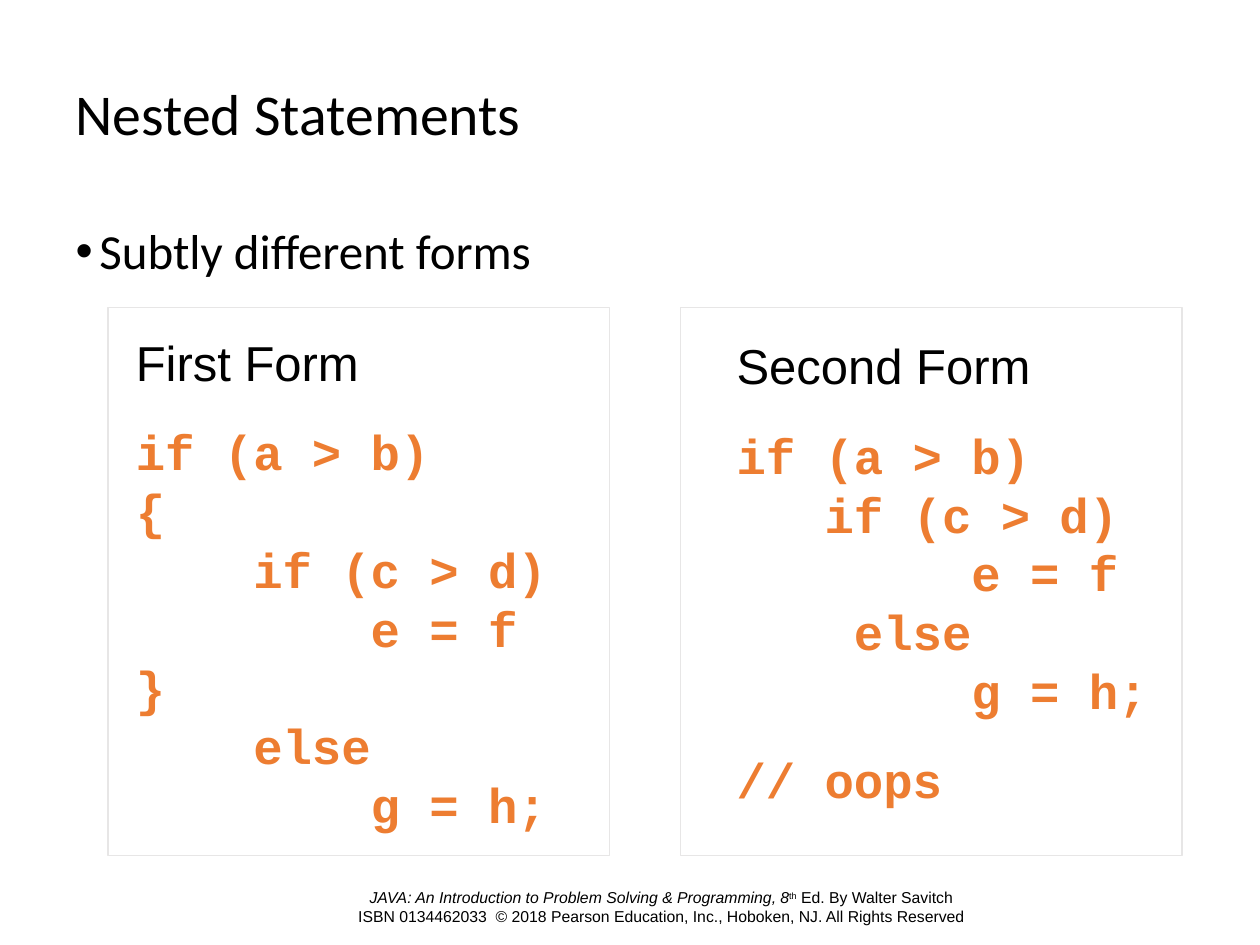
"""Build a slide that compares two forms of nested if statements."""
from pptx import Presentation
from pptx.dml.color import RGBColor
from pptx.enum.shapes import MSO_SHAPE
from pptx.enum.text import MSO_ANCHOR, MSO_AUTO_SIZE, PP_ALIGN
from pptx.util import Cm, Pt

COLORS = {"text": "000000", "code": "ED7D31", "frame": "E7E6E6"}


def add_span(para, text, font, size, color="text", bold=False, italic=False):
    span = para.add_run()
    span.text = text
    span.font.name = font
    span.font.size = Pt(size)
    span.font.bold = bold
    span.font.italic = italic
    span.font.color.rgb = RGBColor.from_string(COLORS[color])
    return span


def add_text_box(page, left, top, width, height):
    box = page.shapes.add_textbox(Cm(left), Cm(top), Cm(width), Cm(height))
    box.text_frame.word_wrap = True
    return box.text_frame


deck = Presentation()
deck.slide_width, deck.slide_height = Cm(25.4), Cm(19.05)
page = deck.slides.add_slide(deck.slide_layouts[1])
title, body = page.placeholders

headings = [
    (title, "Nested Statements", 33, MSO_ANCHOR.MIDDLE, (1.27, 1.3, 22.86, 2.11)),
    (body, "Subtly different forms", 28, MSO_ANCHOR.TOP, (1.27, 4.45, 20.27, 2.87)),
]
for holder, text, size, anchor, place in headings:
    holder.left, holder.top, holder.width, holder.height = map(Cm, place)
    frame = holder.text_frame
    frame.auto_size = MSO_AUTO_SIZE.NONE
    frame.vertical_anchor = anchor
    para = frame.paragraphs[0]
    para.alignment = PP_ALIGN.LEFT
    para.line_spacing = 0.9
    para.space_before = Pt(0)
    add_span(para, text, "Calibri", size)

bullet = body.text_frame.paragraphs[0]._p.get_or_add_pPr()
bullet.set("marL", str(Cm(0.48)))
bullet.set("indent", str(Cm(-0.48)))

footer = add_text_box(page, 1.9, 17.78, 22.86, 1.6)
para = footer.paragraphs[0]
para.alignment = PP_ALIGN.CENTER
para.line_spacing = Pt(10.8)
add_span(para, "JAVA: An Introduction to Problem Solving & Programming, 8", "Arial", 9, italic=True)
ordinal = add_span(para, "th", "Arial", 9)
ordinal._r.get_or_add_rPr().set("baseline", "30000")
add_span(para, " Ed. By Walter Savitch", "Arial", 9)
para.add_line_break()
add_span(
    para,
    "ISBN 0134462033  © 2018 Pearson Education, Inc., Hoboken, NJ. All Rights Reserved",
    "Arial",
    9,
)

first_code = """if (a > b)
{
    if (c > d)
        e = f
}
    else
        g = h;"""
second_code = """if (a > b)
   if (c > d)
        e = f
    else
        g = h;"""
forms = [
    (2.49, 6.58, 10.36, ["First Form", first_code]),
    (14.6, 6.65, 9.8, ["Second Form", second_code, "// oops"]),
]
for left, top, height, blocks in forms:
    frame = add_text_box(page, left, top, 9.47, height)
    for index, block in enumerate(blocks):
        para = frame.add_paragraph() if index else frame.paragraphs[0]
        para.line_spacing = Pt(33.6)
        para.space_before = Pt(17.5 if index else 0)
        font, color = ("Courier New", "code") if index else ("Arial", "text")
        for number, line in enumerate(block.splitlines()):
            if number:
                para.add_line_break()
            add_span(para, line, font, 28, color, bold=index > 0)

for left in (2.18, 13.72):
    border = page.shapes.add_shape(MSO_SHAPE.RECTANGLE, Cm(left), Cm(6.2), Cm(10.11), Cm(11.05))
    border.shadow.inherit = False
    border.fill.background()
    border.line.color.rgb = RGBColor.from_string(COLORS["frame"])
    border.line.width = Pt(1)

deck.save("out.pptx")
